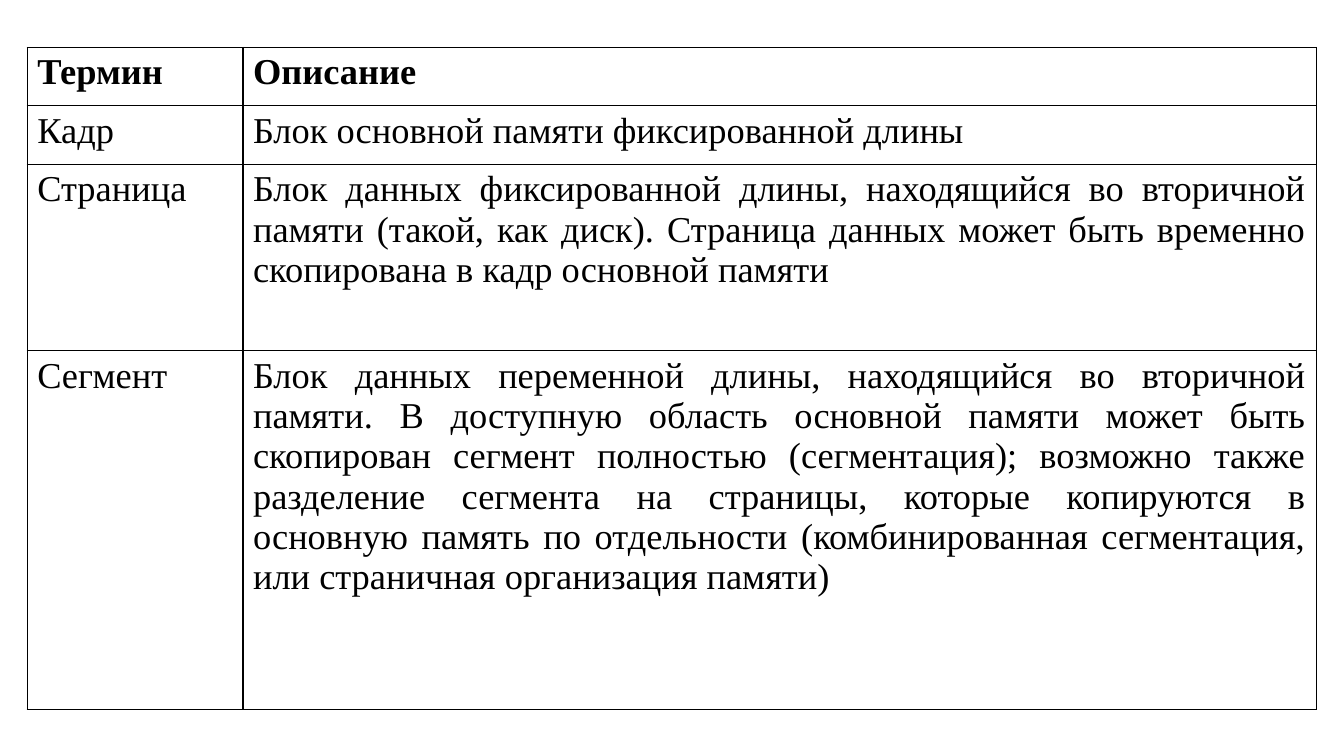
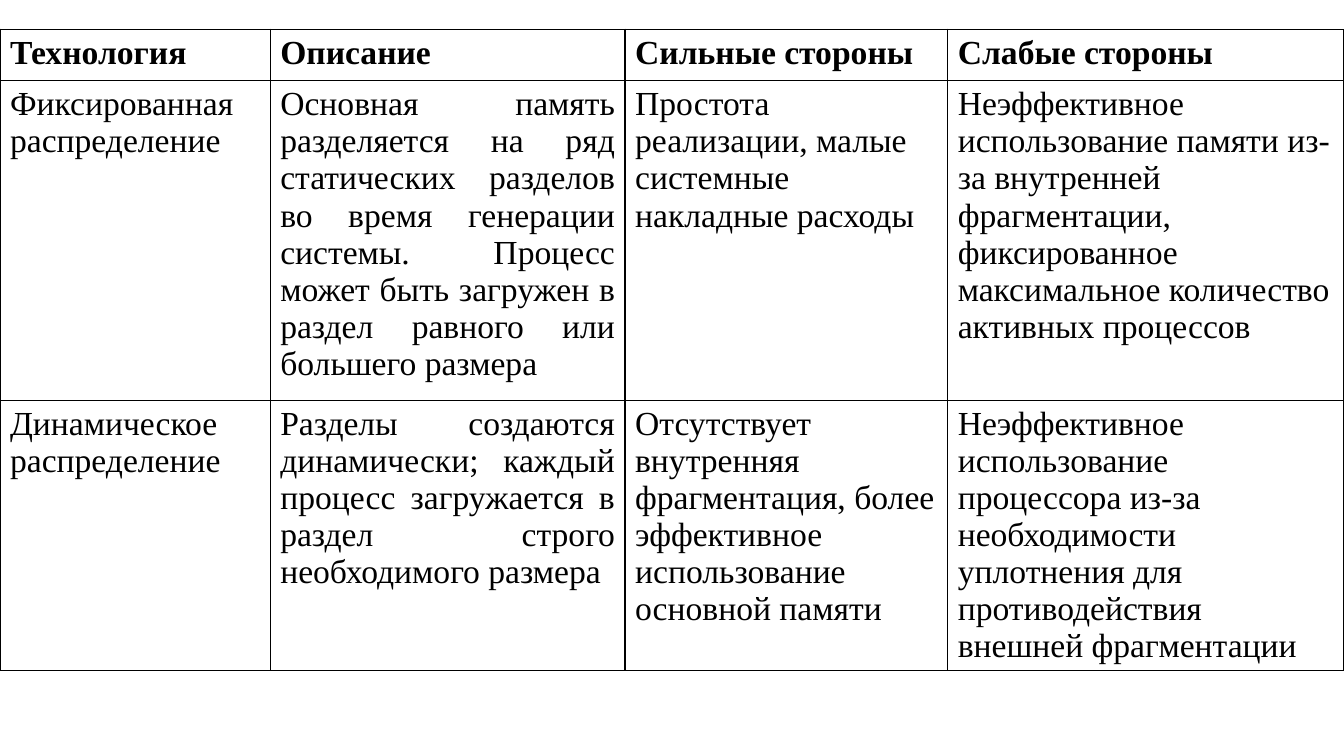
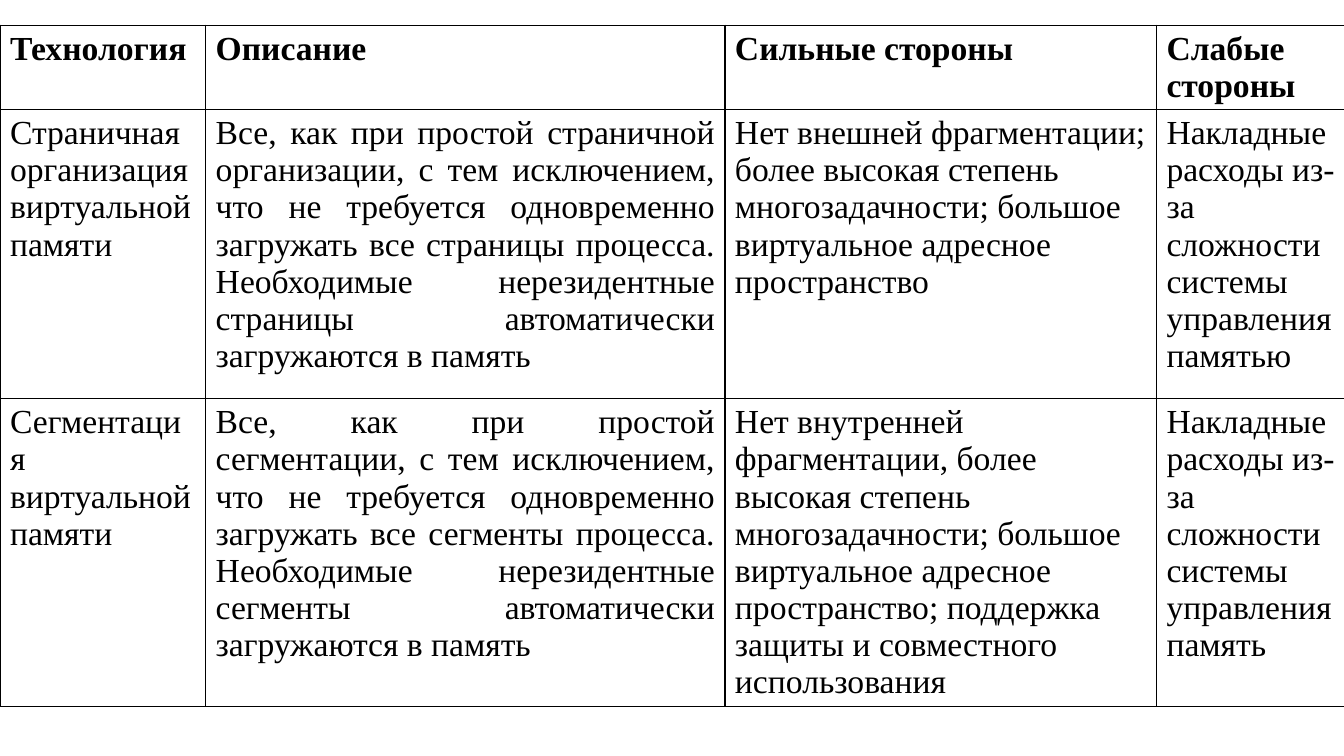
"""Build three slides of tables about memory management."""
from dataclasses import dataclass

from lxml import etree
from pptx import Presentation
from pptx.dml.color import RGBColor
from pptx.enum.text import PP_ALIGN
from pptx.oxml.ns import qn
from pptx.util import Inches, Pt

BLACK = RGBColor(0, 0, 0)
FONT = "Times New Roman"
BORDER_WIDTH = Pt(1)
DESCRIPTION_COLUMN = 1
TECHNOLOGY_HEADER = ("Технология", "Описание", "Сильные стороны", "Слабые стороны")


@dataclass(frozen=True)
class TableSpec:
    """Place, text size and wording of one slide's table."""

    left: float
    top: float
    size: int
    widths: tuple[float, ...]
    heights: tuple[float, ...]
    rows: tuple[tuple[str, ...], ...]


TABLES = (
    TableSpec(
        0.27, 0.47, 26, (2.14, 10.65), (0.58, 0.58, 1.85, 3.56),
        (
            ("Термин", "Описание"),
            ("Кадр", "Блок основной памяти фиксированной длины"),
            (
                "Страница",
                "Блок данных фиксированной длины, находящийся во вторичной памяти "
                "(такой, как диск). Страница данных может быть временно скопирована "
                "в кадр основной памяти",
            ),
            (
                "Сегмент",
                "Блок данных переменной длины, находящийся во вторичной памяти. "
                "В доступную область основной памяти может быть скопирован сегмент "
                "полностью (сегментация); возможно также разделение сегмента на "
                "страницы, которые копируются в основную память по отдельности "
                "(комбинированная сегментация, или страничная организация памяти)",
            ),
        ),
    ),
    TableSpec(
        0, 0.29, 24, (2.68, 3.52, 3.2, 3.93), (0.51, 3.17, 2.25),
        (
            TECHNOLOGY_HEADER,
            (
                "Фиксированная распределение",
                "Основная память разделяется на ряд статических разделов во время "
                "генерации системы. Процесс может быть загружен в раздел равного "
                "или большего размера",
                "Простота реализации, малые системные накладные расходы",
                "Неэффективное использование памяти из-за внутренней фрагментации, "
                "фиксированное максимальное количество активных процессов",
            ),
            (
                "Динамическое распределение",
                "Разделы создаются динамически; каждый процесс загружается в раздел "
                "строго необходимого размера",
                "Отсутствует внутренняя фрагментация, более эффективное "
                "использование основной памяти",
                "Неэффективное использование процессора из-за необходимости "
                "уплотнения для\nпротиводействия внешней фрагментации",
            ),
        ),
    ),
    TableSpec(
        0, 0.25, 24, (2.04, 5.15, 4.28, 1.87), (0.51, 2.87, 2.25),
        (
            TECHNOLOGY_HEADER,
            (
                "Страничная организация виртуальной памяти",
                "Все, как при простой страничной организации, с тем исключением, "
                "что не требуется одновременно загружать все страницы процесса. "
                "Необходимые нерезидентные страницы автоматически загружаются "
                "в память",
                "Нет внешней фрагментации; более высокая степень многозадачности; "
                "большое виртуальное адресное пространство",
                "Накладные расходы из-за сложности системы управления памятью",
            ),
            (
                "Сегментация виртуальной памяти",
                "Все, как при простой сегментации, с тем исключением, что не "
                "требуется одновременно загружать все сегменты процесса. "
                "Необходимые нерезидентные сегменты автоматически загружаются "
                "в память",
                "Нет внутренней фрагментации, более высокая степень "
                "многозадачности; большое виртуальное адресное пространство; "
                "поддержка защиты и совместного использования",
                "Накладные расходы из-за сложности системы управления память",
            ),
        ),
    ),
)


def add_borders(cell) -> None:
    """Draw a thin black line on all four sides of a cell."""
    tc_pr = cell._tc.get_or_add_tcPr()
    for side in ("lnL", "lnR", "lnT", "lnB"):
        line = etree.SubElement(tc_pr, qn(f"a:{side}"), w=str(int(BORDER_WIDTH)))
        fill = etree.SubElement(line, qn("a:solidFill"))
        etree.SubElement(fill, qn("a:srgbClr"), val=str(BLACK))


def fill_cell(cell, content: str, size: int, header: bool, justified: bool) -> None:
    """Write and format the text of one cell."""
    add_borders(cell)
    cell.fill.background()
    cell.text_frame.text = content
    for p in cell.text_frame.paragraphs:
        p.alignment = PP_ALIGN.JUSTIFY if justified else PP_ALIGN.LEFT
        p.font.name = FONT
        p.font.size = Pt(size)
        p.font.bold = header
        p.font.color.rgb = BLACK


def add_table_slide(prs, spec: TableSpec) -> None:
    """Add a blank slide holding the described table."""
    slide = prs.slides.add_slide(prs.slide_layouts[6])
    table = slide.shapes.add_table(
        len(spec.heights), len(spec.widths),
        Inches(spec.left), Inches(spec.top),
        Inches(sum(spec.widths)), Inches(sum(spec.heights)),
    ).table
    table.first_row = table.horz_banding = False
    for column, width in zip(table.columns, spec.widths):
        column.width = Inches(width)
    for i, (row, height) in enumerate(zip(table.rows, spec.heights)):
        row.height = Inches(height)
        header = i == 0
        for j, content in enumerate(spec.rows[i]):
            justified = not header and j == DESCRIPTION_COLUMN
            fill_cell(table.cell(i, j), content, spec.size, header, justified)


def main() -> None:
    """Build and save the presentation."""
    prs = Presentation()
    prs.slide_width, prs.slide_height = Inches(13.33), Inches(7.5)
    for spec in TABLES:
        add_table_slide(prs, spec)
    prs.save("out.pptx")


if __name__ == "__main__":
    main()
